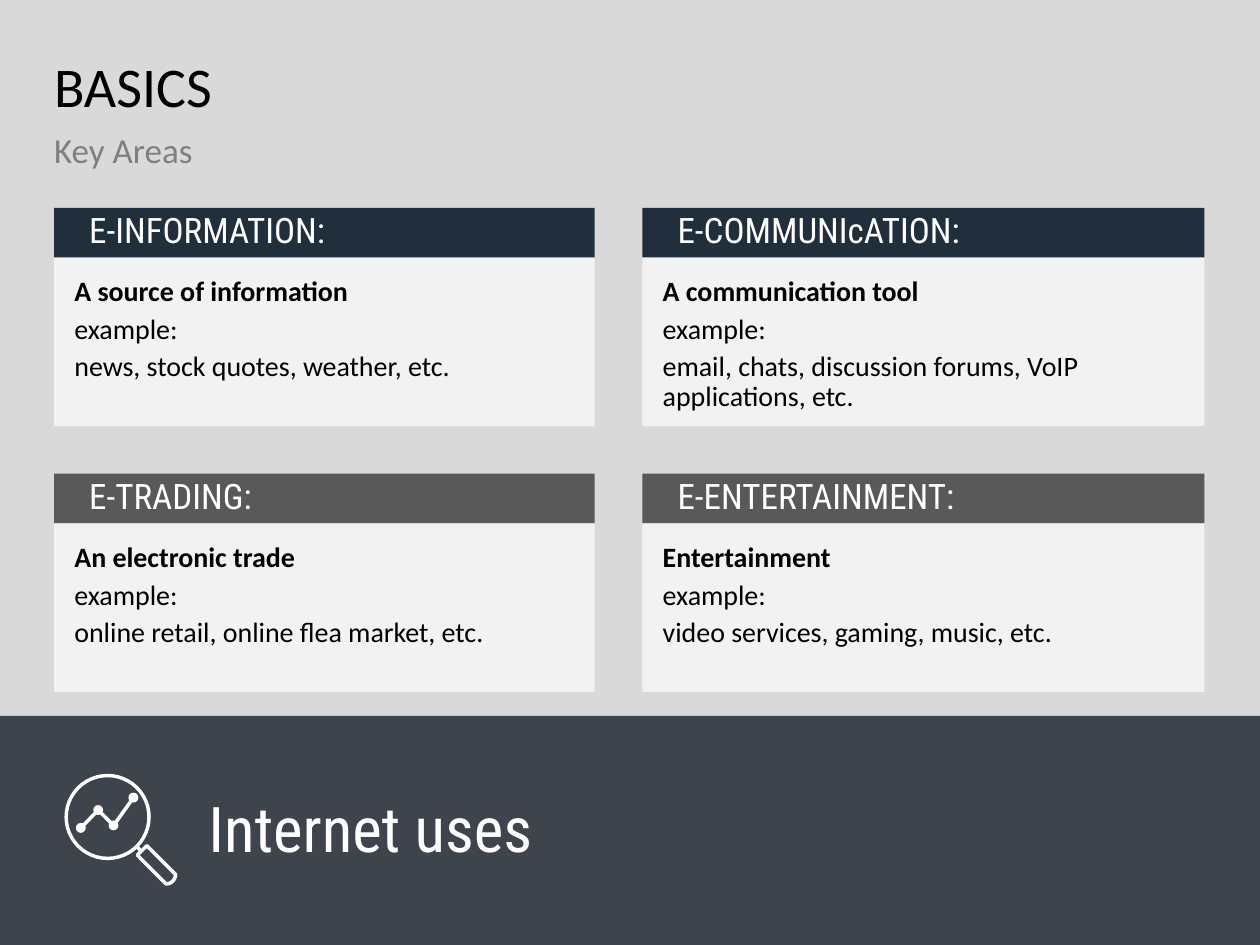
from itertools import pairwise
from math import cos, radians, sin

from lxml.etree import SubElement
from pptx import Presentation
from pptx.dml.color import RGBColor
from pptx.enum.shapes import MSO_CONNECTOR as CONN, MSO_SHAPE as SHAPE
from pptx.enum.text import MSO_ANCHOR as ANCHOR, MSO_AUTO_SIZE as AUTO, PP_ALIGN as ALIGN
from pptx.oxml.ns import qn
from pptx.util import Cm, Pt

rgb = RGBColor.from_string


def put_text(sp, lines, font, size, color, after=10, ins=(0, 0, 0, 0), anchor=ANCHOR.TOP, bold_first=False):
    tf = sp.text_frame
    frame = dict(word_wrap=True, auto_size=AUTO.NONE, vertical_anchor=anchor)
    sides = ("margin_left", "margin_top", "margin_right", "margin_bottom")
    frame.update(zip(sides, map(Cm, ins)))
    for k, v in frame.items():
        setattr(tf, k, v)
    tf.text = "\n".join(lines)
    for i, p in enumerate(tf.paragraphs):
        pPr = p._p.get_or_add_pPr()
        pPr.set("marL", "0")
        pPr.set("indent", "0")
        SubElement(pPr, qn("a:buNone"))
        para = dict(alignment=ALIGN.LEFT, line_spacing=0.9, space_before=Pt(0), space_after=Pt(after))
        for k, v in para.items():
            setattr(p, k, v)
        f = p.runs[0].font
        for k, v in dict(name=font, size=Pt(size), bold=bold_first and i == 0).items():
            setattr(f, k, v)
        f.color.rgb = rgb(color)


def paint(sp, fill=None, line=None, width=2):
    if fill:
        sp.fill.solid()
        sp.fill.fore_color.rgb = rgb(fill)
    elif hasattr(sp, "fill"):
        sp.fill.background()
    if line:
        sp.line.color.rgb = rgb(line)
        sp.line.width = Pt(width)
    else:
        sp.line.fill.background()
    if hasattr(sp, "shadow"):
        sp.shadow.inherit = False
    else:
        SubElement(sp._element.spPr, qn("a:effectLst"))


prs = Presentation()
prs.slide_width, prs.slide_height = Cm(25.4), Cm(19.05)
s = prs.slides.add_slide(prs.slide_layouts[4])
s.background.fill.solid()
s.background.fill.fore_color.rgb = rgb("D9D9D9")

left, full_w = 1.09, 23.19
title = s.shapes.title
box = dict(left=left, top=1.19, width=full_w, height=3)
for k, v in box.items():
    setattr(title, k, Cm(v))
put_text(title, ["BASICS"], "Calibri", 32, "000000", after=0)

sub = s.shapes.add_textbox(Cm(left), Cm(2.69), Cm(full_w), Cm(1.5))
put_text(sub, ["Key Areas"], "Calibri", 20, "7F7F7F")

areas = [
    ("E-INFORMATION:", "A source of information", "news, stock quotes, weather, etc."),
    ("E-COMMUNIcATION:", "A communication tool",
     "email, chats, discussion forums, VoIP applications, etc."),
    ("E-TRADING:", "An electronic trade", "online retail, online flea market, etc."),
    ("E-ENTERTAINMENT:", "Entertainment", "video services, gaming, music, etc."),
]
cols = [(left, 10.9), (12.95, 11.33)]
rows = [(4.19, "212E3C"), (9.55, "595959")]
head_h, body_h = 1, 3.4
for i, (head, lead, example) in enumerate(areas):
    x, w = cols[i % 2]
    y, color = rows[i // 2]
    bar = s.shapes.add_shape(SHAPE.RECTANGLE, Cm(x), Cm(y), Cm(w), Cm(head_h))
    paint(bar, color)
    put_text(bar, [head], "Roboto Condensed", 20, "FFFFFF", ins=(0.71, 0, 0.41, 0), anchor=ANCHOR.MIDDLE)
    body = s.placeholders[i + 1]
    box = dict(left=x, top=y + head_h, width=w, height=body_h)
    for k, v in box.items():
        setattr(body, k, Cm(v))
    body.fill.solid()
    body.fill.fore_color.rgb = rgb("F2F2F2")
    put_text(body, [lead, "example:", example], "Calibri", 16, "000000", after=4,
             ins=(0.41,) * 4, bold_first=True)

band = s.shapes.add_shape(SHAPE.RECTANGLE, 0, Cm(14.43), prs.slide_width, Cm(4.62))
paint(band, "161F28")
clr = band._element.spPr.find(qn("a:solidFill"))[0]
SubElement(clr, qn("a:alpha"), val="80000")

label = s.shapes.add_textbox(Cm(4.17), Cm(14.86), Cm(20.12), Cm(3.84))
put_text(label, ["Internet uses"], "Roboto Condensed", 36, "FFFFFF", ins=(0.03, 0, 0, 0), anchor=ANCHOR.MIDDLE)

icon = s.shapes.add_group_shape().shapes
white = "FFFFFF"
lens = icon.add_shape(SHAPE.DONUT, Cm(1.3), Cm(15.6), Cm(1.74), Cm(1.74))
lens.adjustments[0] = 0.04
paint(lens, white)

nodes = [(1.63, 16.69), (1.98, 16.33), (2.29, 16.64), (2.69, 16.08)]
neck = [(2.75, 17.06), (2.86, 17.17)]
for a, b in [*pairwise(nodes), neck]:
    cx = icon.add_connector(CONN.STRAIGHT, *map(Cm, a + b))
    paint(cx, line=white)
dot = 0.2
for x, y in nodes:
    sp = icon.add_shape(SHAPE.OVAL, Cm(x - dot / 2), Cm(y - dot / 2), Cm(dot), Cm(dot))
    paint(sp, white)

tip = [(3.35 + 0.19 * cos(radians(t)), 17.63 + 0.19 * sin(radians(t))) for t in range(0, 91, 15)]
fb = icon.build_freeform(Cm(2.77), Cm(17.24))
fb.add_line_segments([(Cm(x), Cm(y)) for x, y in [(2.96, 17.05), *tip]], close=True)
paint(fb.convert_to_shape(), line=white)

prs.save("out.pptx")
